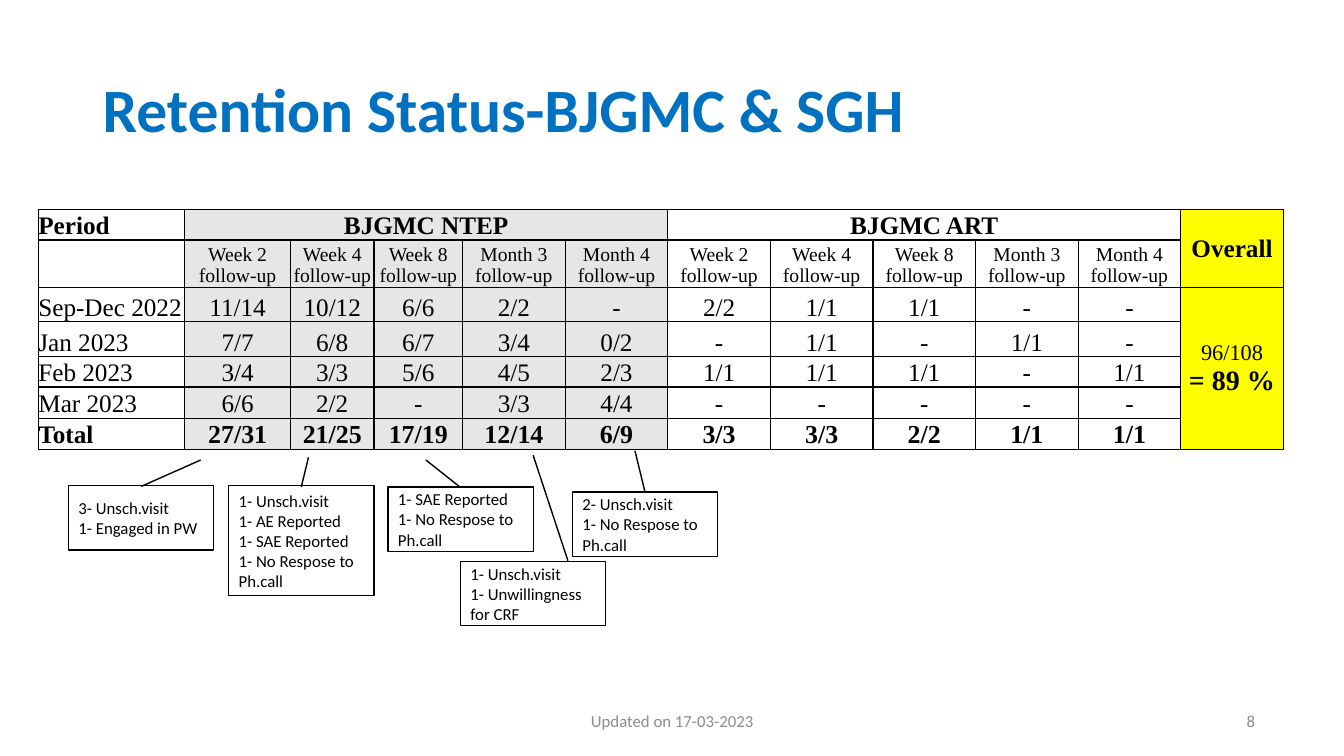
from lxml import etree
from pptx import Presentation
from pptx.dml.color import RGBColor
from pptx.enum import shapes, text
from pptx.oxml import ns
from pptx.util import Pt

BLACK, WHITE, GREY, YELLOW = "000000", "FFFFFF", "E7E6E6", "FFFF00"
LEFT, CENTER, RIGHT = (text.PP_ALIGN.LEFT, text.PP_ALIGN.CENTER,
                       text.PP_ALIGN.RIGHT)
MIDDLE, BOTTOM = text.MSO_ANCHOR.MIDDLE, text.MSO_ANCHOR.BOTTOM
SERIF = "Times New Roman"

COLUMN_WIDTHS = [104.5, 75.7, 59.5, 63.4] + [73.3] * 8
ROW_HEIGHTS = [21.6, 33.1, 24.5, 25.2, 21.6, 22.3, 21.6]
VISITS = ["Week 2", "Week 4", "Week 8", "Month 3", "Month 4"]
PERIODS = [
    ("Sep-Dec 2022", "11/14 10/12 6/6 2/2 - 2/2 1/1 1/1 - -"),
    ("Jan 2023", "7/7 6/8 6/7 3/4 0/2 - 1/1 - 1/1 -"),
    ("Feb 2023", "3/4 3/3 5/6 4/5 2/3 1/1 1/1 1/1 - 1/1"),
    ("Mar 2023", "6/6 2/2 - 3/3 4/4 - - - - -"),
    ("Total", "27/31 21/25 17/19 12/14 6/9 3/3 3/3 2/2 1/1 1/1"),
]
# Left, top, height, callout line (y1, x1, y2, x2), reasons for loss
CALLOUTS = [
    (49, 347, 46, (0.01, 0.5, -0.4, 0.91),
     ["3- Unsch.visit", "1- Engaged in PW"]),
    (163.4, 347, 78.5, (0.01, 0.5, -0.26, 0.55),
     ["1- Unsch.visit", "1- AE Reported", "1- SAE Reported",
      "1- No Respose to Ph.call"]),
    (277.2, 347.8, 46, (0.01, 0.5, -0.42, 0.26),
     ["1- SAE Reported", "1- No Respose to Ph.call"]),
    (329, 401, 46, (-0.01, 0.74, -1.65, 0.5),
     ["1- Unsch.visit", "1- Unwillingness for CRF"]),
    (409, 351.4, 46, (0.01, 0.5, -0.64, 0.43),
     ["2- Unsch.visit", "1- No Respose to Ph.call"]),
]


def color(hex_value):
    return RGBColor.from_string(hex_value)


def set_all(target, formats):
    for name, value in formats.items():
        setattr(target, name, value)


def write(frame, lines, size, hex_value=BLACK, font="Calibri", bold=False,
          align=LEFT):
    """Write one paragraph per line and return the paragraphs."""
    for index, line in enumerate(lines):
        para = frame.add_paragraph() if index else frame.paragraphs[0]
        para.alignment = align
        span = para.add_run()
        span.text = line
        set_all(span.font, {"name": font, "size": Pt(size), "bold": bold})
        span.font.color.rgb = color(hex_value)
    return frame.paragraphs


def add_label(page, place, line, size, hex_value, **formats):
    box = page.shapes.add_textbox(*map(Pt, place))
    set_all(box.text_frame, {"word_wrap": True, "vertical_anchor": MIDDLE})
    return write(box.text_frame, [line], size, hex_value, **formats)[0]


def add_callout(page, left, top, height, pointer, reasons):
    box = page.shapes.add_shape(shapes.MSO_SHAPE.LINE_CALLOUT_1, Pt(left),
                                Pt(top), Pt(103.7), Pt(height))
    for index, value in enumerate(pointer):
        box.adjustments[index] = value
    box.shadow.inherit = False
    box.fill.solid()
    box.fill.fore_color.rgb = color(WHITE)
    box.line.color.rgb = color(BLACK)
    box.line.width = Pt(1)
    set_all(box.text_frame, {"word_wrap": True, "vertical_anchor": MIDDLE})
    write(box.text_frame, reasons, 12)


def add_borders(cell):
    properties = cell._tc.get_or_add_tcPr()
    for index, side in enumerate(["lnL", "lnR", "lnT", "lnB"]):
        line = etree.Element(ns.qn("a:" + side), w=str(Pt(1)))
        fill = etree.SubElement(line, ns.qn("a:solidFill"))
        etree.SubElement(fill, ns.qn("a:srgbClr"), val=BLACK)
        properties.insert(index, line)


def style_cell(cell, column):
    set_all(cell, {"margin_left": 0, "margin_right": 0,
                   "margin_top": 0, "margin_bottom": 0,
                   "vertical_anchor": MIDDLE if column == 11 else BOTTOM})
    if 1 <= column <= 5 or column == 11:
        cell.fill.solid()
        cell.fill.fore_color.rgb = color(YELLOW if column == 11 else GREY)
    else:
        cell.fill.background()
    add_borders(cell)


def add_retention_table(page):
    rows, columns = len(ROW_HEIGHTS), len(COLUMN_WIDTHS)
    frame = page.shapes.add_table(rows, columns, Pt(27.4), Pt(149.8),
                                  Pt(sum(COLUMN_WIDTHS)),
                                  Pt(sum(ROW_HEIGHTS)))
    table = frame.table
    set_all(table, {"first_row": False, "horz_banding": False})
    for column, width in zip(table.columns, COLUMN_WIDTHS):
        column.width = Pt(width)
    for row, height in zip(table.rows, ROW_HEIGHTS):
        row.height = Pt(height)
        for index, cell in enumerate(row.cells):
            style_cell(cell, index)

    def fill_in(row, column, line, size=18, bold=False):
        write(table.cell(row, column).text_frame, [line], size, font=SERIF,
              bold=bold, align=CENTER if column else LEFT)

    # Merged areas: two sites, overall heading, overall result
    for top, left, bottom, right in [(0, 1, 0, 5), (0, 6, 0, 10),
                                     (0, 11, 1, 11), (2, 11, 6, 11)]:
        table.cell(top, left).merge(table.cell(bottom, right))

    # Headings
    for column, heading in [(0, "Period"), (1, "BJGMC NTEP"),
                            (6, "BJGMC ART"), (11, "Overall")]:
        fill_in(0, column, heading, bold=True)
    for column, visit in enumerate(VISITS * 2, start=1):
        fill_in(1, column, visit + " follow-up", 14)

    # Counts per period
    for row, (period, counts) in enumerate(PERIODS, start=2):
        total = period == "Total"
        fill_in(row, 0, period, bold=total)
        for column, count in enumerate(counts.split(), start=1):
            fill_in(row, column, count, 18.5 if total else 18, total)

    # Overall result
    result = write(table.cell(2, 11).text_frame, ["96/108", "= 89 %"], 16,
                   font=SERIF, align=CENTER)
    set_all(result[1].runs[0].font, {"size": Pt(20), "bold": True})


def main():
    deck = Presentation()
    set_all(deck, {"slide_width": Pt(960), "slide_height": Pt(540)})
    page = deck.slides.add_slide(deck.slide_layouts[6])

    # Title
    title = add_label(page, (66.2, 28.1, 828, 104.4),
                      "Retention Status-BJGMC & SGH", 44, "0070C0", bold=True)
    title.line_spacing = 0.9

    # Table and reasons for loss
    add_retention_table(page)
    for callout in CALLOUTS:
        add_callout(page, *callout)

    # Footer
    add_label(page, (687.6, 500.4, 216, 28.8), "8", 12, "8C8C8C", align=RIGHT)
    add_label(page, (318.2, 500.4, 324, 28.8), "Updated on 17-03-2023", 12,
              "8C8C8C", align=CENTER)

    deck.save("out.pptx")


main()
